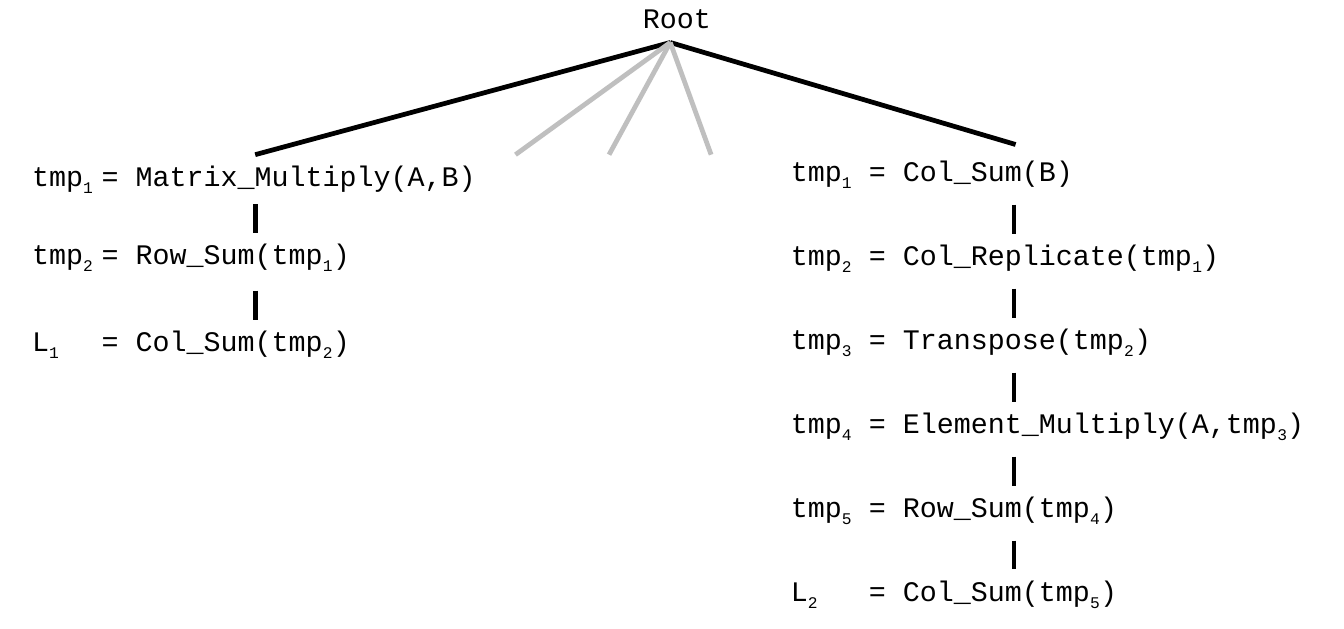
from lxml.etree import SubElement
from pptx import Presentation
from pptx.dml.color import RGBColor
from pptx.enum.shapes import MSO_CONNECTOR
from pptx.enum.text import PP_ALIGN
from pptx.oxml.ns import qn
from pptx.util import Inches, Pt

BLACK = RGBColor(0x00, 0x00, 0x00)
GREY = RGBColor(0xBF, 0xBF, 0xBF)

SLIDE_W, SLIDE_H = 7.9, 3.7
ROW_H = 0.3
ROOT_X, ROOT_Y = 3.94, 0.25
LINK_LENGTH, LINK_OVERLAP = 0.17, 0.03

# Digits in braces are subscripts; the tab aligns the equals signs
LEFT_PLAN = [
    "tmp{1}\t= Matrix_Multiply(A,B)",
    "tmp{2}\t= Row_Sum(tmp{1})",
    "L{1}\t= Col_Sum(tmp{2})",
]
RIGHT_PLAN = [
    "tmp{1}\t= Col_Sum(B)",
    "tmp{2}\t= Col_Replicate(tmp{1})",
    "tmp{3}\t= Transpose(tmp{2})",
    "tmp{4}\t= Element_Multiply(A,tmp{3})",
    "tmp{5}\t= Row_Sum(tmp{4})",
    "L{2}\t= Col_Sum(tmp{5})",
]


def add_text(slide, text, left, top, width, align=PP_ALIGN.LEFT, tab=None,
             size=12, font="Courier New", color=BLACK):
    label = slide.shapes.add_textbox(
        Inches(left), Inches(top), Inches(width), Inches(ROW_H))
    label.text_frame.word_wrap = True
    paragraph = label.text_frame.paragraphs[0]
    paragraph.alignment = align
    if tab:
        stops = SubElement(paragraph._p.get_or_add_pPr(), qn("a:tabLst"))
        SubElement(stops, qn("a:tab"), pos=str(Inches(tab)), algn="l")
    for index, part in enumerate(text.replace("}", "{").split("{")):
        run = paragraph.add_run()
        run.text = part
        run.font.name = font
        run.font.size = Pt(size)
        run.font.color.rgb = color
        if index % 2:
            run._r.get_or_add_rPr().set("baseline", "-25000")


def add_line(slide, x1, y1, x2, y2, color=BLACK):
    line = slide.shapes.add_connector(
        MSO_CONNECTOR.STRAIGHT, Inches(x1), Inches(y1), Inches(x2), Inches(y2))
    line.line.color.rgb = color
    line.line.width = Pt(2)
    SubElement(line._element.spPr, qn("a:effectLst"))


def add_plan(slide, steps, left, tops, width, link_x, tab):
    """One column of steps, joined by short vertical links."""
    for step, top in zip(steps, tops):
        add_text(slide, step, left, top, width, tab=tab)
    for top in tops[1:]:
        link_end = top + LINK_OVERLAP
        add_line(slide, link_x, link_end - LINK_LENGTH, link_x, link_end)


def add_root(slide, plan_ends, other_ends):
    """The root label and its branches."""
    width = 0.8
    add_text(slide, "Root", ROOT_X + 0.04 - width / 2, -0.05, width,
             align=PP_ALIGN.CENTER)
    for ends, color in ((plan_ends, BLACK), (other_ends, GREY)):
        for x, y in ends:
            add_line(slide, ROOT_X, ROOT_Y, x, y, color)


def main():
    deck = Presentation()
    deck.slide_width, deck.slide_height = Inches(SLIDE_W), Inches(SLIDE_H)
    slide = deck.slides.add_slide(deck.slide_layouts[6])

    # Left and right plans
    add_plan(slide, LEFT_PLAN, left=0.09, tops=[0.88, 1.34, 1.85],
             width=3.1, link_x=1.5, tab=0.41)
    right_pitch = (3.32 - 0.85) / (len(RIGHT_PLAN) - 1)
    right_tops = [0.85 + right_pitch * row for row in range(len(RIGHT_PLAN))]
    add_plan(slide, RIGHT_PLAN, left=4.55, tops=right_tops,
             width=3.27, link_x=5.96, tab=0.46)

    # Root with branches to both plans and to the plans left out
    add_root(slide, plan_ends=[(1.5, 0.91), (5.97, 0.85)],
             other_ends=[(x, 0.91) for x in (3.03, 3.58, 4.18)])

    deck.save("out.pptx")


if __name__ == "__main__":
    main()
